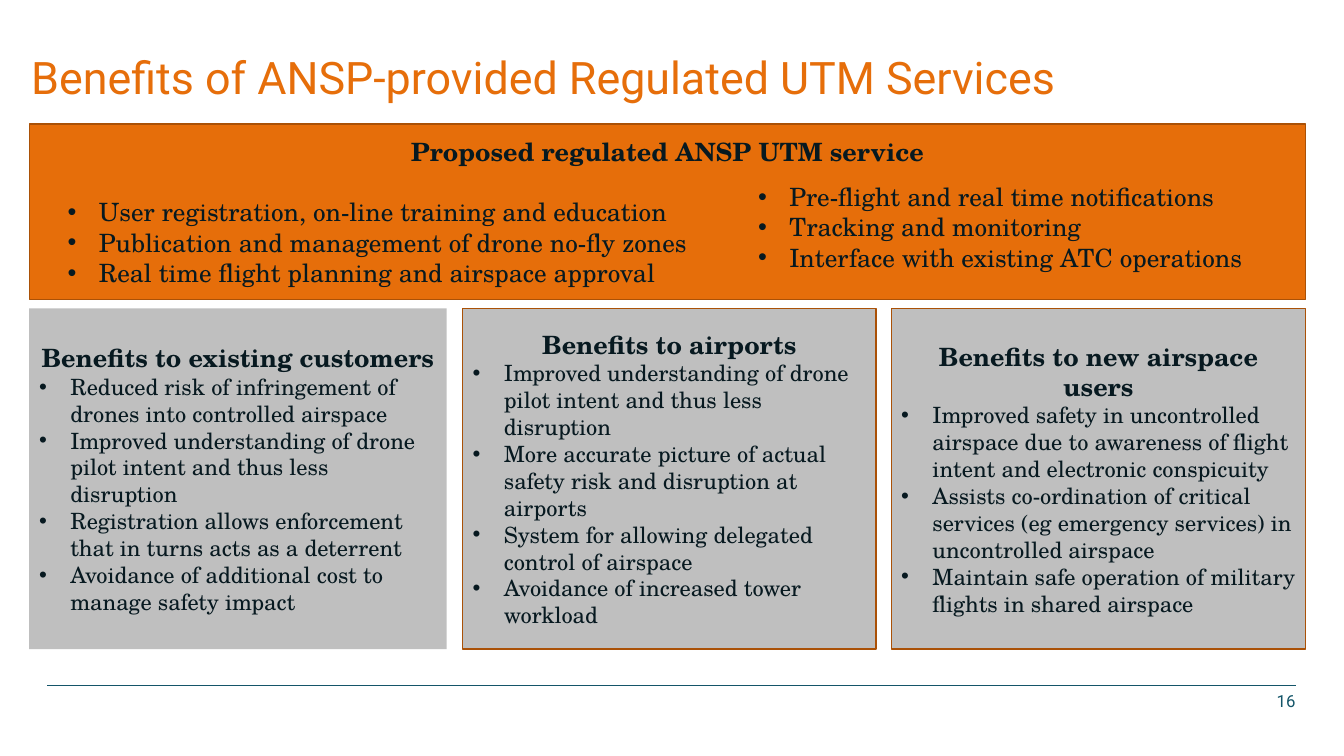
from dataclasses import dataclass
from typing import Optional

import pptx
import pptx.dml.color
import pptx.enum.shapes
import pptx.enum.text
import pptx.oxml
import pptx.oxml.ns
import pptx.util
from pptx.util import Inches

RGBColor = pptx.dml.color.RGBColor
Align = pptx.enum.text.PP_ALIGN
Anchor = pptx.enum.text.MSO_ANCHOR

ORANGE = RGBColor(0xE6, 0x6E, 0x0A)
BROWN = RGBColor(0xAA, 0x51, 0x07)
GREY = RGBColor(0xBF, 0xBF, 0xBF)
INK = RGBColor(0x07, 0x19, 0x20)
TEAL = RGBColor(0x14, 0x55, 0x69)
HEADING_FONT = "Roboto"
BODY_FONT = "TeX Gyre Schola"
HANGING = 0.31


@dataclass
class Panel:
    left: float
    width: float
    heading: str
    points: list[str]
    outline: Optional[RGBColor] = BROWN


SERVICES_LEFT = [
    "User registration, on-line training and education",
    "Publication and management of drone no-fly zones",
    "Real time flight planning and airspace approval",
]
SERVICES_RIGHT = [
    "Pre-flight and real time notifications",
    "Tracking and monitoring",
    "Interface with existing ATC operations",
]
PANELS = [
    Panel(0.29, 4.14, "Benefits to existing customers", [
        "Reduced risk of infringement of drones into controlled airspace",
        "Improved understanding of drone pilot intent and thus less disruption",
        "Registration allows enforcement that in turns acts as a deterrent",
        "Avoidance of additional cost to manage safety impact",
    ], outline=None),
    Panel(4.59, 4.10, "Benefits to airports", [
        "Improved understanding of drone pilot intent and thus less disruption",
        "More accurate picture of actual safety risk and disruption at airports",
        "System for allowing delegated control of airspace",
        "Avoidance of increased tower workload",
    ]),
    Panel(8.84, 4.11, "Benefits to new airspace users", [
        "Improved safety in uncontrolled airspace due to awareness of flight "
        "intent and electronic conspicuity",
        "Assists co-ordination of critical services (eg emergency services) "
        "in uncontrolled airspace",
        "Maintain safe operation of military flights in shared airspace",
    ]),
]


def apply(target, values: dict) -> None:
    for name, value in values.items():
        setattr(target, name, value)


def place(shape, left: float, top: float, width: float, height: float) -> None:
    apply(shape, {"left": Inches(left), "top": Inches(top),
                  "width": Inches(width), "height": Inches(height)})


def set_frame(frame, anchor, side: float = 0.1, top: float = 0.05, bottom: float = 0.05) -> None:
    apply(frame, {"word_wrap": True, "auto_size": pptx.enum.text.MSO_AUTO_SIZE.NONE,
                  "vertical_anchor": anchor,
                  "margin_left": Inches(side), "margin_right": Inches(side),
                  "margin_top": Inches(top), "margin_bottom": Inches(bottom)})


def set_indent(para, left: float, bullet: bool) -> None:
    properties = para._p.get_or_add_pPr()
    properties.set("marL", str(Inches(left)))
    properties.set("indent", str(-Inches(HANGING) if bullet else 0))
    tags = ['buFont typeface="Arial"', 'buChar char="•"'] if bullet else ["buNone"]
    for tag in tags:
        properties.append(pptx.oxml.parse_xml(f"<a:{tag} {pptx.oxml.ns.nsdecls('a')}/>"))


def write(frame, text: str, size: float, color: RGBColor = INK, font: str = BODY_FONT,
          bold: bool = False, align=Align.LEFT, indent: float = 0,
          bullet: bool = False, before: float = 0, line_spacing: float = 1.0) -> None:
    para = frame.paragraphs[0]
    if para.runs:
        para = frame.add_paragraph()
    set_indent(para, indent, bullet)
    apply(para, {"alignment": align, "line_spacing": line_spacing,
                 "space_before": pptx.util.Pt(before), "space_after": pptx.util.Pt(0)})
    span = para.add_run()
    span.text = text
    apply(span.font, {"name": font, "size": pptx.util.Pt(size), "bold": bold})
    span.font.color.rgb = color


def write_points(frame, points: list[str], size: float,
                 indent: float = HANGING, gap: float = 0) -> None:
    for number, point in enumerate(points):
        write(frame, point, size, indent=indent, bullet=True, before=0 if number else gap)


def paint(shape, fill: RGBColor, outline: Optional[RGBColor]) -> None:
    shape.fill.solid()
    shape.fill.fore_color.rgb = fill
    if outline is None:
        shape.line.fill.background()
    else:
        shape.line.color.rgb = outline
        shape.line.width = pptx.util.Pt(1)


def add_panel(page, panel: Panel) -> None:
    box = page.shapes.add_shape(pptx.enum.shapes.MSO_SHAPE.RECTANGLE, 0, 0, 0, 0)
    place(box, panel.left, 3.06, panel.width, 3.38)
    box.shadow.inherit = False
    paint(box, GREY, panel.outline)
    set_frame(box.text_frame, Anchor.MIDDLE)
    write(box.text_frame, panel.heading, 18, bold=True, align=Align.CENTER)
    write_points(box.text_frame, panel.points, 16)


def add_text_box(page, left: float, top: float, width: float, height: float):
    return page.shapes.add_textbox(Inches(left), Inches(top),
                                   Inches(width), Inches(height)).text_frame


def main() -> None:
    deck = pptx.Presentation()
    apply(deck, {"slide_width": Inches(13.33), "slide_height": Inches(7.5)})
    page = deck.slides.add_slide(deck.slide_layouts[1])

    # Title
    title = page.shapes.title
    place(title, 0.31, 0.55, 11.73, 0.48)
    set_frame(title.text_frame, Anchor.TOP, 0, 0, 0)
    write(title.text_frame, "Benefits of ANSP-provided Regulated UTM Services", 32,
          color=ORANGE, font=HEADING_FONT, line_spacing=0.9)

    # Service band with its two lists
    band = page.placeholders[1]
    place(band, 0.29, 1.23, 12.66, 1.74)
    paint(band, ORANGE, BROWN)
    set_frame(band.text_frame, Anchor.TOP, top=0.12)
    write(band.text_frame, "Proposed regulated ANSP UTM service", 18,
          bold=True, align=Align.CENTER)
    write_points(band.text_frame, SERVICES_LEFT, 18, indent=0.59, gap=21.7)
    services = add_text_box(page, 7.42, 1.75, 5.53, 1.06)
    set_frame(services, Anchor.TOP)
    write_points(services, SERVICES_RIGHT, 18)

    # Benefit panels
    for panel in PANELS:
        add_panel(page, panel)

    # Footer rule and page number
    rule = page.shapes.add_connector(pptx.enum.shapes.MSO_CONNECTOR.STRAIGHT,
                                     Inches(0.47), Inches(6.8), Inches(12.85), Inches(6.8))
    rule.line.color.rgb = TEAL
    rule.line.width = pptx.util.Pt(0.25)
    rule._element.spPr.append(
        pptx.oxml.parse_xml(f"<a:effectLst {pptx.oxml.ns.nsdecls('a')}/>"))
    number = add_text_box(page, 9.85, 6.85, 3, 0.2)
    set_frame(number, Anchor.TOP, 0, 0, 0)
    write(number, "16", 12, color=TEAL, font=HEADING_FONT, align=Align.RIGHT)

    deck.save("out.pptx")


if __name__ == "__main__":
    main()
